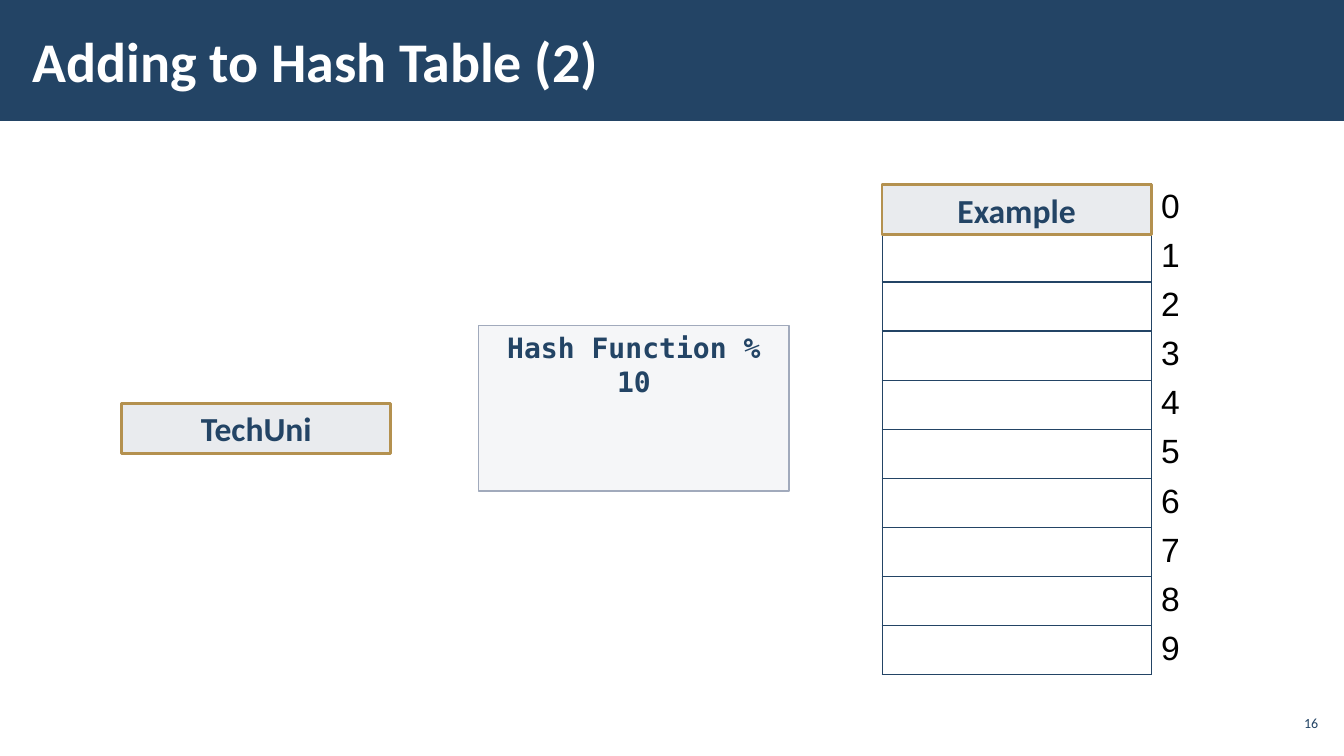
from lxml.etree import SubElement
from pptx import Presentation
from pptx.dml.color import RGBColor
from pptx.enum.shapes import MSO_SHAPE
from pptx.enum.text import MSO_ANCHOR, PP_ALIGN
from pptx.oxml import parse_xml
from pptx.oxml.ns import nsdecls, qn
from pptx.util import Cm, Pt

NAVY = RGBColor(0x23, 0x44, 0x65)
WHITE = RGBColor(0xFF, 0xFF, 0xFF)
BLACK = RGBColor(0x00, 0x00, 0x00)
GOLD = RGBColor(0xB4, 0x91, 0x4F)
KEY_FILL = RGBColor(0xE9, 0xEB, 0xEE)
PANEL_FILL = RGBColor(0xC1, 0xC6, 0xD1)
PANEL_LINE = RGBColor(0xA1, 0xAA, 0xBC)


class SlideBuilder:
    font = "Calibri"
    mono = "DejaVu Sans Mono"
    digits = "Arial"

    def __init__(self, s):
        self.s = s

    def add_run(self, tf, text, size, color=NAVY, font=None, bold=True,
                align=PP_ALIGN.CENTER):
        p = tf.paragraphs[0]
        p.alignment = align
        r = p.add_run()
        r.text = text
        r.font.size = Pt(size)
        r.font.name = font or self.font
        r.font.bold = bold
        r.font.color.rgb = color

    def label(self, x, y, w, h, text, size, anchor=MSO_ANCHOR.MIDDLE,
              margins=(0.25, 0.13), **style):
        sp = self.s.shapes.add_textbox(Cm(x), Cm(y), Cm(w), Cm(h))
        tf = sp.text_frame
        tf.word_wrap = True
        tf.vertical_anchor = anchor
        tf.margin_left = tf.margin_right = Cm(margins[0])
        tf.margin_top = tf.margin_bottom = Cm(margins[1])
        self.add_run(tf, text, size, **style)

    def box(self, x, y, w, h, fill, line=None, width=1, kind=MSO_SHAPE.RECTANGLE,
            alpha=None):
        """Add a filled shape; alpha is the opacity in percent."""
        sp = self.s.shapes.add_shape(kind, Cm(x), Cm(y), Cm(w), Cm(h))
        sp.shadow.inherit = False
        sp.fill.solid()
        sp.fill.fore_color.rgb = fill
        if alpha is not None:
            color = sp._element.spPr.find(qn("a:solidFill"))[0]
            SubElement(color, qn("a:alpha")).set("val", str(alpha * 1000))
        if line is None:
            sp.line.fill.background()
        else:
            sp.line.color.rgb = line
            sp.line.width = Pt(width)
        return sp

    def key(self, x, y, text):
        sp = self.box(x, y, 6.78, 1.27, KEY_FILL, GOLD, 2,
                      MSO_SHAPE.FLOWCHART_PROCESS)
        sp.text_frame.vertical_anchor = MSO_ANCHOR.MIDDLE
        self.add_run(sp.text_frame, text, 24)

    def borders(self, cell, sides):
        """Draw the given sides (letters of LRTB) and clear the others."""
        tcPr = cell._tc.get_or_add_tcPr()
        for i, side in enumerate("LRTB"):
            paint = "<a:noFill/>"
            if side in sides:
                paint = f'<a:solidFill><a:srgbClr val="{NAVY}"/></a:solidFill>'
            tcPr.insert(i, parse_xml(
                f'<a:ln{side} {nsdecls("a")} w="{Pt(1)}">{paint}</a:ln{side}>'))

    def hash_table(self, x, y, widths, row_height, count):
        frame = self.s.shapes.add_table(count, len(widths), Cm(x), Cm(y),
                                        Cm(sum(widths)), Cm(row_height * count))
        table = frame.table
        table.first_row = table.horz_banding = False
        for column, width in zip(table.columns, widths):
            column.width = Cm(width)
        for i, row in enumerate(table.rows):
            row.height = Cm(row_height)
            slot, index = row.cells
            for cell, sides in ((slot, "LRTB"), (index, "L")):
                cell.fill.background()
                cell.margin_top = cell.margin_bottom = Cm(0.11)
                self.borders(cell, sides)
            self.add_run(index.text_frame, str(i), 24, BLACK, self.digits,
                         bold=False, align=PP_ALIGN.LEFT)


def main():
    prs = Presentation()
    prs.slide_width, prs.slide_height = Cm(33.87), Cm(19.05)
    b = SlideBuilder(prs.slides.add_slide(prs.slide_layouts[6]))

    b.box(0, 0, 33.87, 3.05, NAVY)
    b.label(0.53, 0.28, 26.42, 2.46, "Adding to Hash Table (2)", 40,
            margins=(0.3, 0.1), color=WHITE, align=PP_ALIGN.LEFT)
    b.label(32.13, 17.78, 1.19, 0.86, "16", 10, margins=(0.1, 0.1),
            bold=False, align=PP_ALIGN.RIGHT)

    b.hash_table(22.23, 4.63, (6.78, 1.42), 1.2, 10)
    b.key(22.23, 4.65, "Example")
    b.key(3.07, 10.16, "TechUni")

    b.box(12.06, 8.2, 7.83, 4.17, PANEL_FILL, PANEL_LINE, alpha=15)
    b.label(12.06, 8.2, 7.83, 1.12, "Hash Function % 10", 20,
            anchor=MSO_ANCHOR.TOP, font=b.mono)

    prs.save("out.pptx")


if __name__ == "__main__":
    main()
